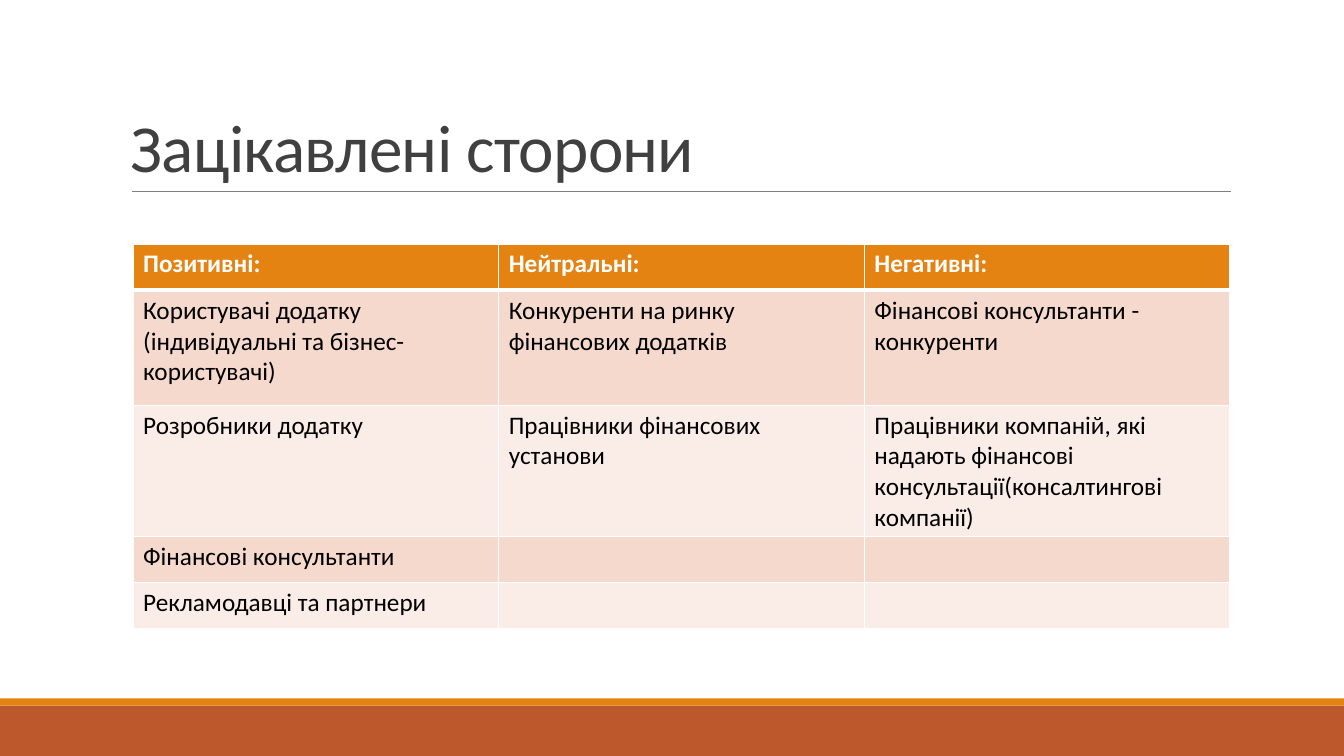
import dataclasses

import lxml.etree
import pptx
import pptx.dml.color
import pptx.enum.shapes
import pptx.enum.text
import pptx.oxml
import pptx.oxml.ns
import pptx.util

Inches = pptx.util.Inches
Pt = pptx.util.Pt
qn = pptx.oxml.ns.qn

COLORS = {
    "rust": "BD582C",
    "orange": "E48312",
    "rule": "808080",
    "title": "404040",
    "white": "FFFFFF",
    "black": "000000",
    "odd": "F5D9CC",
    "even": "FAEDE7",
}


@dataclasses.dataclass
class Bar:
    top: float
    height: float
    color: str


@dataclasses.dataclass
class Row:
    height: float
    texts: tuple[str, ...]


BARS = [Bar(7, 0.5, "rust"), Bar(6.93, 0.07, "orange")]
ROWS = [
    Row(0.46, ("Позитивні:", "Нейтральні:", "Негативні:")),
    Row(1.14, (
        "Користувачі додатку (індивідуальні та бізнес-користувачі)",
        "Конкуренти на ринку фінансових додатків",
        "Фінансові консультанти - конкуренти",
    )),
    Row(1.14, (
        "Розробники додатку",
        "Працівники фінансових установи",
        "Працівники компаній, які надають фінансові "
        "консультації(консалтингові компанії)",
    )),
    Row(0.46, ("Фінансові консультанти", "", "")),
    Row(0.46, ("Рекламодавці та партнери", "", "")),
]
WIDTH = 13.33
COLS = 3


def paint(name: str) -> pptx.dml.color.RGBColor:
    return pptx.dml.color.RGBColor.from_string(COLORS[name])


def write(frame, text: str, *, size: float, color: str, bold: bool = False,
          lead: float | None = None, track: int | None = None) -> None:
    para = frame.paragraphs[0]
    if lead:
        para.line_spacing = lead
    run = para.add_run()
    run.text = text
    run.font.name = "Calibri"
    run.font.size = Pt(size)
    run.font.bold = bold
    run.font.color.rgb = paint(color)
    if track is not None:
        run.font._element.set("spc", str(track))


def draw_bar(slide, bar: Bar) -> None:
    shape = slide.shapes.add_shape(
        pptx.enum.shapes.MSO_SHAPE.RECTANGLE,
        0, Inches(bar.top), Inches(WIDTH), Inches(bar.height))
    shape.shadow.inherit = False
    shape.fill.solid()
    shape.fill.fore_color.rgb = paint(bar.color)
    shape.line.fill.background()


def draw_rule(slide) -> None:
    rule = slide.shapes.add_connector(
        pptx.enum.shapes.MSO_CONNECTOR.STRAIGHT,
        Inches(1.31), Inches(1.9), Inches(12.21), Inches(1.9))
    rule.line.color.rgb = paint("rule")
    rule.line.width = Pt(0.5)
    lxml.etree.SubElement(rule._element.spPr, qn("a:effectLst"))


def draw_title(slide, text: str) -> None:
    box = slide.shapes.add_textbox(
        Inches(1.2), Inches(0.31), Inches(11), Inches(1.59))
    frame = box.text_frame
    frame.word_wrap = True
    frame.vertical_anchor = pptx.enum.text.MSO_ANCHOR.BOTTOM
    write(frame, text, size=48, color="title", lead=0.85, track=-50)


def edge_cell(cell, top: float, bottom: float) -> None:
    props = cell._tc.get_or_add_tcPr()
    for side, width in (("L", 1), ("R", 1), ("T", top), ("B", bottom)):
        line = lxml.etree.SubElement(
            props, qn(f"a:ln{side}"), w=str(Pt(width)))
        fill = lxml.etree.SubElement(line, qn("a:solidFill"))
        lxml.etree.SubElement(fill, qn("a:srgbClr"), val=COLORS["white"])


def draw_table(slide, rows: list[Row]) -> None:
    height = sum(row.height for row in rows)
    table = slide.shapes.add_table(
        len(rows), COLS, Inches(1.32), Inches(2.42),
        Inches(10.88), Inches(height)).table
    for r, row in enumerate(rows):
        table.rows[r].height = Inches(row.height)
        head = r == 0
        shade = "orange" if head else ("odd" if r % 2 else "even")
        for c, text in enumerate(row.texts):
            cell = table.cell(r, c)
            edge_cell(cell, 3 if r == 1 else 1, 3 if head else 1)
            cell.fill.solid()
            cell.fill.fore_color.rgb = paint(shade)
            if text:
                write(cell.text_frame, text, size=18, bold=head,
                      color="white" if head else "black")


def main() -> None:
    deck = pptx.Presentation()
    deck.slide_width = Inches(WIDTH)
    deck.slide_height = Inches(7.5)
    slide = deck.slides.add_slide(deck.slide_layouts[6])
    for bar in BARS:
        draw_bar(slide, bar)
    draw_rule(slide)
    draw_title(slide, "Зацікавлені сторони")
    draw_table(slide, ROWS)
    deck.save("out.pptx")


if __name__ == "__main__":
    main()
